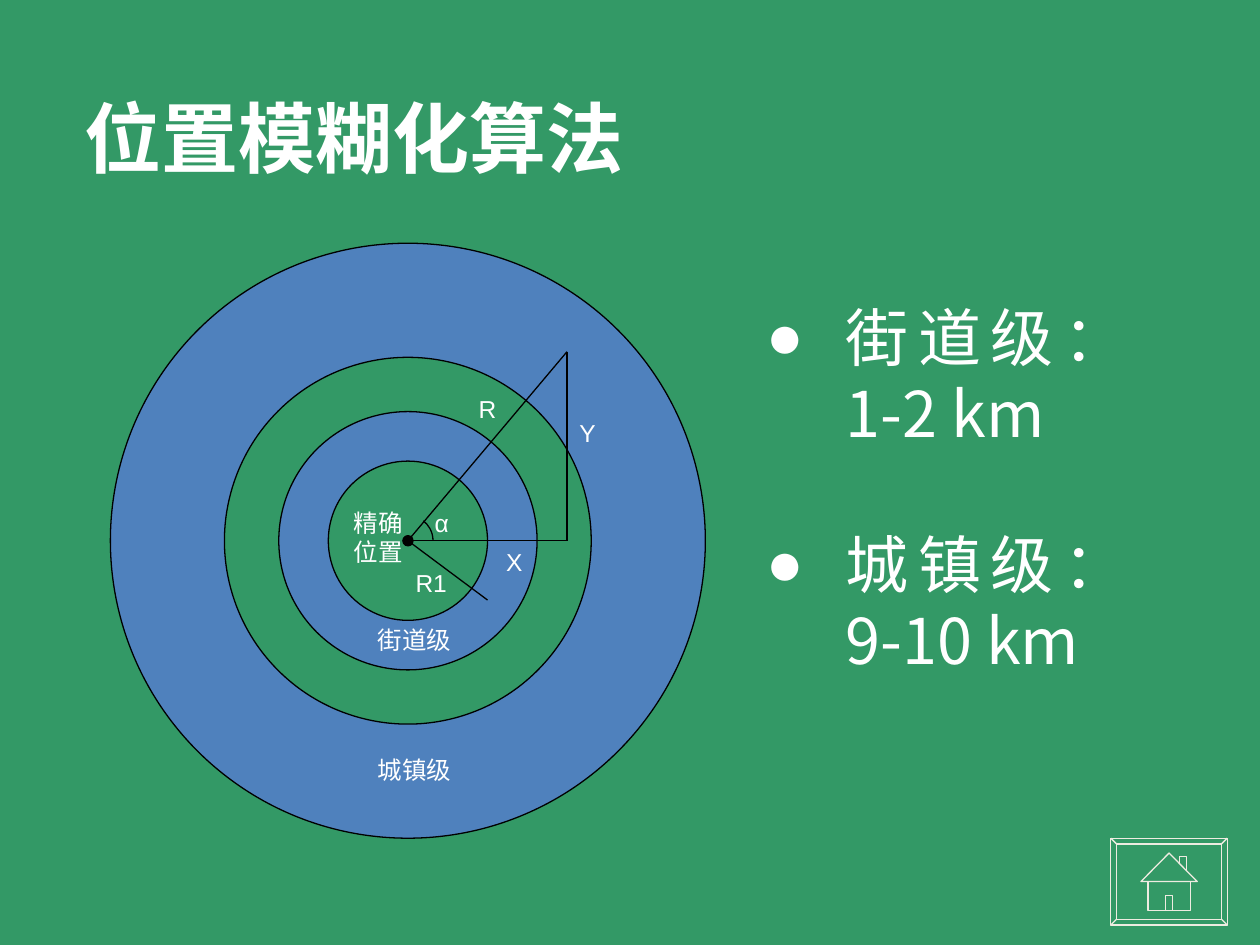
from lxml.etree import SubElement
from pptx import Presentation
from pptx.dml.color import RGBColor
from pptx.enum.shapes import MSO_CONNECTOR, MSO_SHAPE
from pptx.enum.text import PP_ALIGN
from pptx.oxml.ns import qn
from pptx.util import Pt

GREEN = RGBColor(0x33, 0x99, 0x66)
BLUE = RGBColor(0x4F, 0x81, 0xBD)
WHITE = RGBColor(0xFF, 0xFF, 0xFF)
BLACK = RGBColor(0x00, 0x00, 0x00)
CREAM = RGBColor(0xEE, 0xEC, 0xE1)
CJK = "Noto Sans CJK SC"
LATIN = "Arial"

TITLE = "位置模糊化算法"
LEVELS = ["街道级： 1-2 km", "城镇级：9-10 km"]
LABELS = [
    ("α", 241.2, 286.6, 20.2, 24.5),
    ("街道级", 208.8, 353.5, 65.5, 24.5),
    ("城镇级", 208.8, 427.7, 65.5, 24.5),
    ("R", 266.4, 221.8, 24.5, 24.5),
    ("X", 282.2, 308.9, 24.5, 24.5),
    ("Y", 324, 235.4, 24.5, 24.5),
    ("精确位置", 195.1, 286.6, 43.9, 41),
    ("R1", 230.4, 321.1, 36, 24.5),
]

CENTER = (233.1, 309)
RINGS = [(170, 104.8), (73.8, 45.5)]
ARC_RADIUS, ARC_START = 14.4, 308
DOT_RADIUS = 2.9
APEX = (324, 201)
CORNER = (324, 309)
R1_END = (278.6, 342.9)
SPOKES = [(CENTER, CORNER), (CENTER, APEX), (CORNER, APEX), (CENTER, R1_END)]

BUTTON = (634.8, 479, 701.3, 528.6)
BEVEL = 3.3
ROOF = [(668.1, 487.5), (684.2, 503.8), (652, 503.8)]
CHIMNEY = [(673.9, 493.6), (673.9, 489.6), (678.2, 489.6), (678.2, 497.7)]
WALLS = (656, 503.8, 680.4, 520.4)
DOOR = (666, 511.8, 670.2, 520.4)

prs = Presentation()
prs.slide_width, prs.slide_height = Pt(720), Pt(540)
slide = prs.slides.add_slide(prs.slide_layouts[6])
slide.background.fill.solid()
slide.background.fill.fore_color.rgb = GREEN
shapes = slide.shapes


def add_text(paragraphs, left, top, width, height, *, size, font, bold=False,
             align=None, line=None, gap=0, bullet=None, indent=0):
    frame = shapes.add_textbox(Pt(left), Pt(top), Pt(width), Pt(height)).text_frame
    frame.word_wrap = True
    for number, words in enumerate(paragraphs):
        paragraph = frame.add_paragraph() if number else frame.paragraphs[0]
        paragraph.alignment = align
        if line:
            paragraph.line_spacing = Pt(line)
        if number and gap:
            paragraph.space_before = Pt(gap)
        run = paragraph.add_run()
        run.text = words
        run.font.size, run.font.bold, run.font.name = Pt(size), bold, font
        run.font.color.rgb = WHITE
        SubElement(run.font._element, qn("a:ea"), typeface=font)
        if bullet:
            props = paragraph._p.get_or_add_pPr()
            props.set("marL", str(Pt(indent)))
            props.set("indent", str(-Pt(indent)))
            color = SubElement(props, qn("a:buClr"))
            SubElement(color, qn("a:srgbClr"), val=str(WHITE))
            SubElement(props, qn("a:buFont"), typeface=LATIN)
            SubElement(props, qn("a:buChar"), char=bullet)


def style(shape, fill=None, line=BLACK):
    shape.shadow.inherit = False
    if fill is None:
        shape.fill.background()
    else:
        shape.fill.solid()
        shape.fill.fore_color.rgb = fill
    shape.line.color.rgb = line
    shape.line.width = Pt(0.75)


def add_round(kind, radius, fill=None):
    x, y = CENTER
    shape = shapes.add_shape(kind, Pt(x - radius), Pt(y - radius),
                             Pt(2 * radius), Pt(2 * radius))
    style(shape, fill)
    return shape


def add_spoke(start, end):
    spoke = shapes.add_connector(MSO_CONNECTOR.STRAIGHT, *map(Pt, start + end))
    spoke.line.color.rgb = BLACK
    spoke.line.width = Pt(0.75)
    SubElement(spoke._element.spPr, qn("a:effectLst"))


def box(left, top, right, bottom):
    return [(left, top), (right, top), (right, bottom), (left, bottom)]


def add_home_button():
    left, top, right, bottom = BUTTON
    outer = box(*BUTTON)
    inner = box(left + BEVEL, top + BEVEL, right - BEVEL, bottom - BEVEL)
    outlines = [(part, True) for part in (outer, inner, ROOF, box(*WALLS), box(*DOOR))]
    outlines += [(list(pair), False) for pair in zip(outer, inner)]
    outlines.append((CHIMNEY, False))
    builder = shapes.build_freeform(Pt(left), Pt(top))
    for points, closed in outlines:
        first, *rest = [(Pt(x), Pt(y)) for x, y in points]
        builder.move_to(*first)
        builder.add_line_segments(rest, close=closed)
    style(builder.convert_to_shape(), line=CREAM)


add_text([TITLE], 41, 48.2, 429, 60.5, size=44, font=CJK, bold=True, line=53)
add_text(LEVELS, 430.6, 166.9, 220.3, 266.4, size=36, font=CJK,
         align=PP_ALIGN.JUSTIFY, line=43.3, gap=43.3, bullet="●", indent=45.4)

for radius, hole in RINGS:
    ring = add_round(MSO_SHAPE.DONUT, radius, BLUE)
    ring.adjustments[0] = (radius - hole) / (2 * radius)

for start, end in SPOKES:
    add_spoke(start, end)

angle = add_round(MSO_SHAPE.ARC, ARC_RADIUS)
angle.adjustments[0] = ARC_START * 0.6
angle.adjustments[1] = 0
add_round(MSO_SHAPE.OVAL, DOT_RADIUS, BLACK)

for words, *place in LABELS:
    add_text([words], *place, size=14, font=LATIN)

add_home_button()
prs.save("out.pptx")
